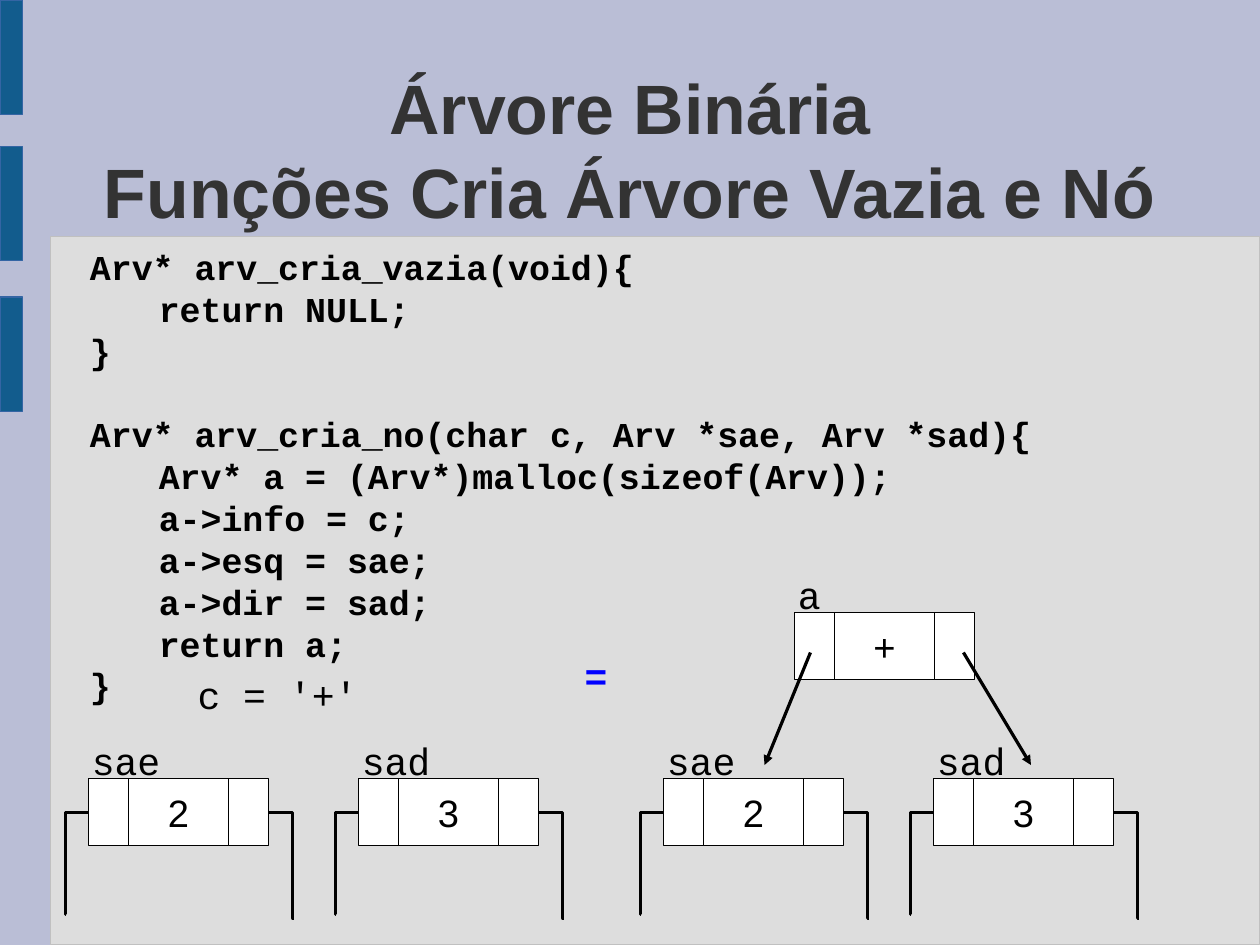
from lxml.etree import SubElement
from pptx import Presentation
from pptx.dml.color import RGBColor
from pptx.enum.shapes import MSO_CONNECTOR, MSO_SHAPE
from pptx.enum.text import MSO_ANCHOR, PP_ALIGN
from pptx.oxml.ns import qn
from pptx.util import Cm, Pt

BLACK, WHITE, BLUE, GREY = "000000", "FFFFFF", "0000FF", "333333"
SANS, MONO = "Arial", "Courier New"
CELL_WIDTH, VALUE_WIDTH, NODE_HEIGHT = 0.89, 2.23, 1.5
NODE_WIDTH = 2 * CELL_WIDTH + VALUE_WIDTH
SIBLING_STEP = 6
LEAF_TOP = 17.3
CODE_INDENT = 1.53
CODE_BLOCKS = [
    [(0, "Arv* arv_cria_vazia(void){"), (1, "return NULL;"), (0, "}")],
    [
        (0, "Arv* arv_cria_no(char c, Arv *sae, Arv *sad){"),
        (1, "Arv* a = (Arv*)malloc(sizeof(Arv));"),
        (1, "a->info = c;"),
        (1, "a->esq = sae;"),
        (1, "a->dir = sad;"),
        (1, "return a;"),
        (0, "}"),
    ],
]


def colour(value):
    """Turn a hex string into a colour."""
    return RGBColor.from_string(value)


def add_span(para, text, size, font, ink=BLACK, bold=False):
    """Add one formatted run to a paragraph."""
    span = para.add_run()
    span.text = text
    span.font.size, span.font.name, span.font.bold = Pt(size), font, bold
    span.font.color.rgb = colour(ink)


def clear_frame(shape, wrap=True, anchor=MSO_ANCHOR.TOP):
    """Remove the margins of a shape's text and return its frame."""
    frame = shape.text_frame
    frame.margin_left = frame.margin_right = frame.margin_top = frame.margin_bottom = 0
    frame.word_wrap, frame.vertical_anchor = wrap, anchor
    return frame


def add_text_box(shapes, left, top, width, height, **options):
    """Add an empty text box and return its frame."""
    box = shapes.add_textbox(Cm(left), Cm(top), Cm(width), Cm(height))
    return clear_frame(box, **options)


def add_rectangle(shapes, left, top, width, height, fill=WHITE, line=BLACK):
    """Add a flat rectangle with a hairline outline."""
    box = shapes.add_shape(MSO_SHAPE.RECTANGLE, Cm(left), Cm(top), Cm(width), Cm(height))
    box.shadow.inherit = False
    box.fill.solid()
    box.fill.fore_color.rgb = colour(fill)
    box.line.color.rgb = colour(line)
    box.line.width = Pt(0)
    return box


def add_line(shapes, kind, start, end):
    """Add a black hairline connector between two points."""
    line = shapes.add_connector(kind, *(Cm(value) for value in (*start, *end)))
    line.line.color.rgb = colour(BLACK)
    line.line.width = Pt(0)
    SubElement(line._element.spPr, qn("a:effectLst"))
    return line


def add_hook(shapes, start, end, bend):
    """Add an elbow line that turns down at the given share of its width."""
    hook = add_line(shapes, MSO_CONNECTOR.ELBOW, start, end)
    guides = hook._element.spPr.find(qn("a:prstGeom")).find(qn("a:avLst"))
    SubElement(guides, qn("a:gd"), name="adj1", fmla=f"val {round(bend * 100000)}")


def add_arrow(shapes, start, end):
    """Add a straight line with a triangle at its end."""
    arrow = add_line(shapes, MSO_CONNECTOR.STRAIGHT, start, end)
    SubElement(arrow.line._get_or_add_ln(), qn("a:tailEnd"), type="triangle")


def add_node(page, left, top, label, value, leaf=True):
    """Draw a labelled tree node, with hooks for the empty links of a leaf."""
    shapes = page.shapes.add_group_shape().shapes
    value_left, right = left + CELL_WIDTH, left + NODE_WIDTH
    box = add_rectangle(shapes, value_left, top, VALUE_WIDTH, NODE_HEIGHT)
    para = clear_frame(box, anchor=MSO_ANCHOR.MIDDLE).paragraphs[0]
    para.alignment = PP_ALIGN.CENTER
    add_span(para, value, 24, SANS)
    for cell_left in (value_left + VALUE_WIDTH, left):
        add_rectangle(shapes, cell_left, top, CELL_WIDTH, NODE_HEIGHT)
    if leaf:
        middle = top + NODE_HEIGHT / 2
        add_hook(shapes, (left, middle), (left - 0.5, top + 3.02), 1.01)
        add_hook(shapes, (right, middle), (right + 0.56, top + 3.1), 0.95)
    frame = add_text_box(shapes, left + 0.08, top - 0.92, 1.96, 1.5)
    add_span(frame.paragraphs[0], label, 24, MONO)


def add_leaves(page, left, top):
    """Draw the two subtrees side by side."""
    for index, (label, value) in enumerate([("sae", "2"), ("sad", "3")]):
        add_node(page, left + index * SIBLING_STEP, top, label, value)


def add_result(page, left, top):
    """Draw the new node above its two subtrees."""
    add_leaves(page, left, top)
    add_node(page, left + 2.91, top - 3.69, "a", "+", leaf=False)
    add_arrow(page.shapes, (left + 3.27, top - 2.8), (left + 2.25, top - 0.3))
    add_arrow(page.shapes, (left + 6.67, top - 2.8), (left + 8.17, top - 0.3))


def add_backdrop(page):
    """Paint the background, the content panel and the side bars."""
    page.background.fill.solid()
    page.background.fill.fore_color.rgb = colour("BABED6")
    add_rectangle(page.shapes, 1.12, 5.26, 26.88, 15.74, "DDDDDD", "C0C0C0")
    for top in (0, 3.25, 6.6):
        add_rectangle(page.shapes, 0, top, 0.5, 2.55, "125C8D", "3465A4")


def add_title(page, left, top, width, height):
    """Write the two centred title lines."""
    frame = add_text_box(page.shapes, left, top, width, height, anchor=MSO_ANCHOR.MIDDLE)
    para = frame.paragraphs[0]
    para.alignment = PP_ALIGN.CENTER
    add_span(para, "Árvore Binária", 44, SANS, GREY, True)
    para.add_line_break()
    add_span(para, "Funções Cria Árvore Vazia e Nó", 44, SANS, GREY, True)


def add_code(page, left, top, width, height):
    """Write the functions, with one line of space between them."""
    frame = add_text_box(page.shapes, left, top, width, height)
    para = frame.paragraphs[0]
    for block_number, block in enumerate(CODE_BLOCKS):
        for line_number, (level, text) in enumerate(block):
            if block_number or line_number:
                para = frame.add_paragraph()
            if block_number and not line_number:
                para.space_before = Pt(26)
            if level:
                para._p.get_or_add_pPr().set("marL", str(Cm(CODE_INDENT)))
            add_span(para, text, 22, MONO, bold=True)


def add_arguments(page, left, top):
    """Show the arguments of the call and the equals sign."""
    add_leaves(page, left, top)
    frame = add_text_box(page.shapes, left + 2.43, top - 2.39, 3.58, 1.14, wrap=False)
    add_span(frame.paragraphs[0], "c = '+'", 24, MONO)
    frame = add_text_box(page.shapes, left + 11.04, top - 2.8, 0.5, 0.97, wrap=False)
    add_span(frame.paragraphs[0], "=", 24, SANS, BLUE, True)


def main():
    """Build the slide and save it."""
    deck = Presentation()
    deck.slide_width, deck.slide_height = Cm(28), Cm(21)
    page = deck.slides.add_slide(deck.slide_layouts[6])
    add_backdrop(page)
    add_title(page, 2.06, 1.55, 23.9, 3.5)
    add_code(page, 2, 5.46, 23.9, 10.6)
    add_arguments(page, 1.96, LEAF_TOP)
    add_result(page, 14.74, LEAF_TOP)
    deck.save("out.pptx")


if __name__ == "__main__":
    main()
